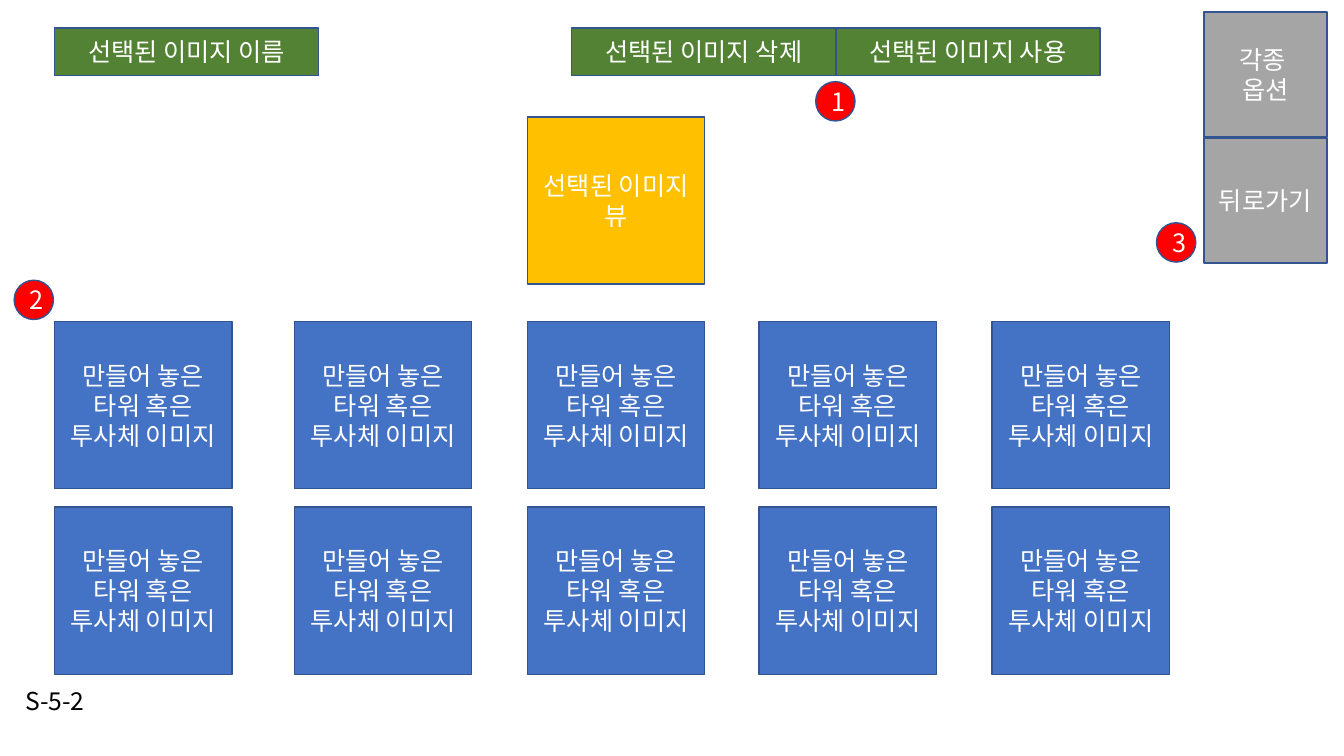
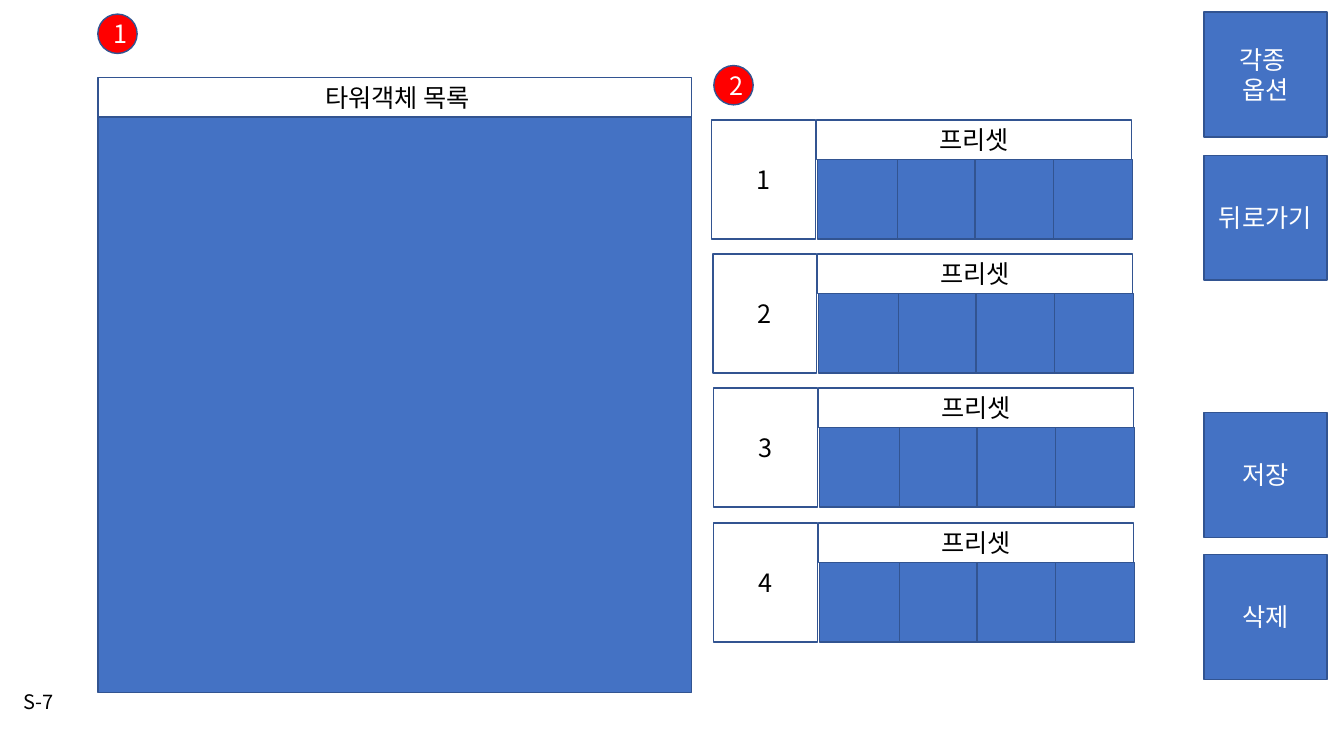
from dataclasses import dataclass

from lxml.etree import SubElement
from pptx import Presentation
from pptx.dml.color import RGBColor
from pptx.enum.shapes import MSO_SHAPE
from pptx.enum.text import MSO_ANCHOR, MSO_AUTO_SIZE, PP_ALIGN
from pptx.oxml.ns import qn
from pptx.util import Emu, Pt


@dataclass(frozen=True)
class Theme:
    font: str = "Noto Sans CJK KR"
    white: str = "FFFFFF"
    black: str = "000000"
    blue: str = "4472C4"
    outline: str = "325491"
    gray: str = "A5A5A5"
    green: str = "548235"
    gold: str = "FFC000"
    red: str = "FF0000"
    body_size: float = 18
    long_code_size: float = 17.6
    short_code_size: float = 14.3
    line_width: float = 1


THEME = Theme()
EMU_PER_PX = 9144
SLIDE_SIZE = (1333, 750)
OPTION_LEFT, OPTION_TOP = 1194, 12
OPTION_SIZE = (122, 124)
CARD_SIZE = (176, 166)
BADGE_SIZE = (39, 39)


def px(length):
    return Emu(length * EMU_PER_PX)


def apply_format(target, values):
    for attribute, value in values.items():
        setattr(target, attribute, value)


def write_text(frame, text, color, size=THEME.body_size, line_spacing=None):
    for index, line in enumerate(text.split("\n")):
        paragraph = frame.add_paragraph() if index else frame.paragraphs[0]
        apply_format(paragraph, {"alignment": PP_ALIGN.CENTER, "line_spacing": line_spacing})
        run = paragraph.add_run()
        run.text = line
        apply_format(run.font, {"name": THEME.font, "size": Pt(size)})
        run.font.color.rgb = RGBColor.from_string(color)
        SubElement(run.font._element, qn("a:ea"), typeface=THEME.font)


def add_block(slide, position, size, fill, text="", color=THEME.white, kind=MSO_SHAPE.RECTANGLE):
    block = slide.shapes.add_shape(kind, *map(px, position + size))
    block.shadow.inherit = False
    block.fill.solid()
    block.fill.fore_color.rgb = RGBColor.from_string(fill)
    block.line.color.rgb = RGBColor.from_string(THEME.outline)
    block.line.width = Pt(THEME.line_width)
    if text:
        apply_format(block.text_frame, {"word_wrap": True, "vertical_anchor": MSO_ANCHOR.MIDDLE})
        write_text(block.text_frame, text, color)


def add_badge(slide, position, number):
    add_block(slide, position, BADGE_SIZE, THEME.red, str(number), kind=MSO_SHAPE.OVAL)


def add_options(slide, fill, buttons):
    for top, label in buttons:
        add_block(slide, (OPTION_LEFT, top), OPTION_SIZE, fill, label)


def add_preset(slide, left, top, number):
    add_block(slide, (left + 104, top), (312, 39), THEME.white, "프리셋", THEME.black)
    for slot in reversed(range(4)):
        add_block(slide, (left + 105 + 233 * slot // 3, top + 39), (79, 79), THEME.blue)
    add_block(slide, (left, top), (103, 118), THEME.white, str(number), THEME.black)


def add_screen(deck, code, code_width, code_size, code_inset):
    slide = deck.slides.add_slide(deck.slide_layouts[5])
    title = slide.shapes.title
    apply_format(title, {
        "left": px(12), "top": px(688), "width": px(code_width), "height": px(47),
    })
    apply_format(title.text_frame, {
        "auto_size": MSO_AUTO_SIZE.NONE,
        "word_wrap": False,
        "vertical_anchor": MSO_ANCHOR.TOP,
        "margin_left": 0,
        "margin_right": 0,
        "margin_top": px(code_inset),
        "margin_bottom": 0,
    })
    write_text(title.text_frame, code, THEME.black, code_size, 0.7)
    return slide


def build_image_screen(deck):
    slide = add_screen(deck, "S-5-2", 85, THEME.long_code_size, 0)
    add_options(slide, THEME.gray, [(OPTION_TOP, "각종 \n옵션"), (137, "뒤로가기")])
    for left, action in ((54, "이름"), (567, "삭제"), (829, "사용")):
        add_block(slide, (left, 28), (262, 47), THEME.green, f"선택된 이미지 {action}")
    add_block(slide, (523, 116), CARD_SIZE, THEME.gold, "선택된 이미지 뷰")
    for top in (319, 503):
        for left in (54, 292, 523, 753, 984):
            add_block(slide, (left, top), CARD_SIZE, THEME.blue, "만들어 놓은 타워 혹은 투사체 이미지")
    for number, position in enumerate(((809, 81), (14, 278), (1147, 221)), 1):
        add_badge(slide, position, number)


def build_tower_screen(deck):
    slide = add_screen(deck, "S-7", 52, THEME.short_code_size, 3)
    add_options(slide, THEME.blue, [
        (OPTION_TOP, "각종 \n옵션"), (154, "뒤로가기"), (409, "저장"), (550, "삭제"),
    ])
    add_block(slide, (97, 116), (589, 571), THEME.blue)
    add_block(slide, (97, 77), (589, 39), THEME.white, " 타워객체 목록", THEME.black)
    for number, position in enumerate(((97, 14), (708, 65)), 1):
        add_badge(slide, position, number)
    presets = ((706, 119), (707, 252), (708, 385), (708, 519))
    for number, (left, top) in enumerate(presets, 1):
        add_preset(slide, left, top, number)


def main():
    deck = Presentation()
    deck.slide_width, deck.slide_height = map(px, SLIDE_SIZE)
    build_image_screen(deck)
    build_tower_screen(deck)
    deck.save("out.pptx")


if __name__ == "__main__":
    main()
